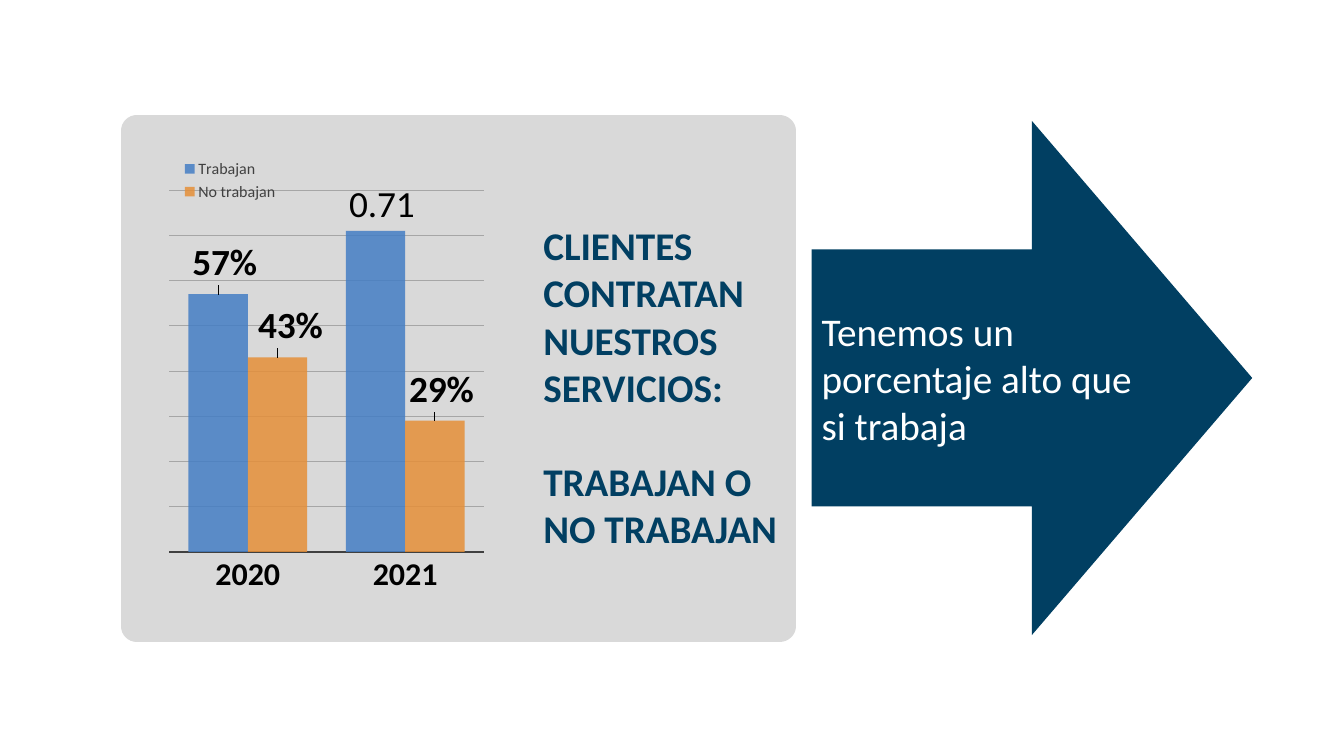
import pptx
import pptx.util
import pptx.chart.data
import pptx.dml.color
import pptx.enum.chart
import pptx.enum.shapes
import pptx.enum.text
import pptx.oxml
import pptx.oxml.ns

Inches, Pt = pptx.util.Inches, pptx.util.Pt
qn = pptx.oxml.ns.qn
COLORS = {"navy": "013F62", "panel": "D9D9D9", "works": "447EC4", "not_works": "E58F39",
          "grid": "A6A6A6", "dark": "404040", "black": "000000", "white": "FFFFFF"}
# name, values, colour, label shifts as fractions of the chart
SERIES = [("Trabajan", (0.57, 0.71), "works", ((0.01, -0.01), (0.01, 0))),
          ("No trabajan", (0.43, 0.29), "not_works", ((0.02, -0.01), (0.01, -0.01)))]
HEADING = ["CLIENTES", "CONTRATAN", "NUESTROS", "SERVICIOS:", "TRABAJAN O", "NO TRABAJAN"]


def rgb(name):
    return pptx.dml.color.RGBColor.from_string(COLORS[name])


def apply(target, values):
    for key, value in values.items():
        setattr(target, key, value)


def style_font(font, size, color, bold=False):
    apply(font, {"name": "Calibri", "size": Pt(size), "bold": bold})
    font.color.rgb = rgb(color)


def chart_xml(markup):
    spaces = pptx.oxml.ns.nsdecls("c", "a")
    return pptx.oxml.parse_xml(markup.replace(">", f" {spaces}>", 1))


def manual_layout(**values):
    parts = "".join(f'<c:{key} val="{value}"/>' for key, value in values.items())
    return chart_xml(f"<c:layout><c:manualLayout>{parts}</c:manualLayout></c:layout>")


def label_series(series, shifts):
    labels = series.data_labels
    apply(labels, {"show_value": True, "number_format": "0%", "number_format_is_linked": False,
                   "position": pptx.enum.chart.XL_LABEL_POSITION.OUTSIDE_END})
    style_font(labels.font, 28, "black", True)
    for index, (x, y) in enumerate(shifts):
        label = series.points[index].data_label
        if (series.name, index) == ("Trabajan", 1):
            label.text_frame.text = "0.71"
            style_font(label.text_frame.paragraphs[0].runs[0].font, 28, "black")
        else:
            style_font(label.font, 28, "black", True)
        label.position = pptx.enum.chart.XL_LABEL_POSITION.OUTSIDE_END
        entry = labels._element.findall(qn("c:dLbl"))[index]
        entry.insert(1, manual_layout(x=x, y=y))


def add_client_chart(slide, box):
    data = pptx.chart.data.CategoryChartData(number_format="0%")
    data.categories = ["2020", "2021"]
    for name, values, _, _ in SERIES:
        data.add_series(name, values)
    chart = slide.shapes.add_chart(pptx.enum.chart.XL_CHART_TYPE.COLUMN_CLUSTERED,
                                   *map(Inches, box), data).chart
    chart.has_title = False
    style_font(chart.font, 10, "black")

    # Panel behind the columns
    fill = f'<a:solidFill><a:srgbClr val="{COLORS["panel"]}"/></a:solidFill>'
    chart.font._element.getparent().getparent().getparent()
    chart._chartSpace.find(qn("c:txPr")).addprevious(chart_xml(
        f'<c:spPr>{fill}<a:ln w="{Pt(24)}">{fill}<a:round/></a:ln></c:spPr>'))

    # Axes
    years, shares = chart.category_axis, chart.value_axis
    years.major_tick_mark = pptx.enum.chart.XL_TICK_MARK.NONE
    style_font(years.tick_labels.font, 24, "black", True)
    apply(shares, {"visible": False, "minimum_scale": 0, "maximum_scale": 0.8,
                   "major_unit": 0.1, "has_major_gridlines": True})
    for line, color, width in ((years.format.line, "dark", 1.5),
                               (shares.major_gridlines.format.line, "grid", 0.75)):
        line.color.rgb = rgb(color)
        line.width = Pt(width)

    # Columns and their labels
    plot = chart.plots[0]
    apply(plot, {"gap_width": 65, "overlap": 0, "vary_by_categories": False})
    for series, (_, _, color, shifts) in zip(plot.series, SERIES):
        series.format.fill.solid()
        series.format.fill.fore_color.rgb = rgb(color)
        shade = series._element.find(".//" + qn("a:srgbClr"))
        shade.append(chart_xml('<a:alpha val="85000"></a:alpha>'))
        label_series(series, shifts)

    # Legend and plot position
    chart.has_legend = True
    apply(chart.legend, {"position": pptx.enum.chart.XL_LEGEND_POSITION.RIGHT,
                         "include_in_layout": False})
    style_font(chart.legend.font, 12, "dark")
    legend = chart.legend._element
    for old in legend.findall(qn("c:layout")):
        legend.remove(old)
    legend.find(qn("c:legendPos")).addnext(manual_layout(
        xMode="edge", yMode="edge", x=0.06, y=0.05, w=0.17, h=0.1))
    area = chart._chartSpace.find(".//" + qn("c:plotArea"))
    for old in area.findall(qn("c:layout")):
        area.remove(old)
    area.insert(0, manual_layout(layoutTarget="inner", xMode="edge", yMode="edge",
                                 x=0.05, y=0.12, w=0.49, h=0.73))


def add_heading(slide, box):
    frame = slide.shapes.add_textbox(*map(Inches, box)).text_frame
    frame.word_wrap = True
    frame.text = "\n".join(HEADING)
    for line in frame.paragraphs:
        style_font(line.runs[0].font, 28, "navy", True)
    frame.paragraphs[4].space_before = Pt(34)


def add_conclusion(slide, box):
    arrow = slide.shapes.add_shape(pptx.enum.shapes.MSO_SHAPE.RIGHT_ARROW, *map(Inches, box))
    arrow.shadow.inherit = False
    arrow.fill.solid()
    arrow.fill.fore_color.rgb = rgb("navy")
    arrow.line.fill.background()
    frame = arrow.text_frame
    apply(frame, {"word_wrap": True, "vertical_anchor": pptx.enum.text.MSO_ANCHOR.MIDDLE,
                  "text": "Tenemos un porcentaje alto que si trabaja"})
    frame.paragraphs[0].alignment = pptx.enum.text.PP_ALIGN.LEFT
    style_font(frame.paragraphs[0].runs[0].font, 28, "white")


def add_clients_slide(deck):
    slide = deck.slides.add_slide(deck.slide_layouts[6])
    add_client_chart(slide, (1.2, 1.14, 6.69, 5.23))
    add_conclusion(slide, (8.05, 1.2, 4.37, 5.1))
    add_heading(slide, (5.29, 2.15, 2.65, 3.62))


deck = pptx.Presentation()
apply(deck, {"slide_width": Inches(13.33), "slide_height": Inches(7.5)})
add_clients_slide(deck)
deck.save("out.pptx")
